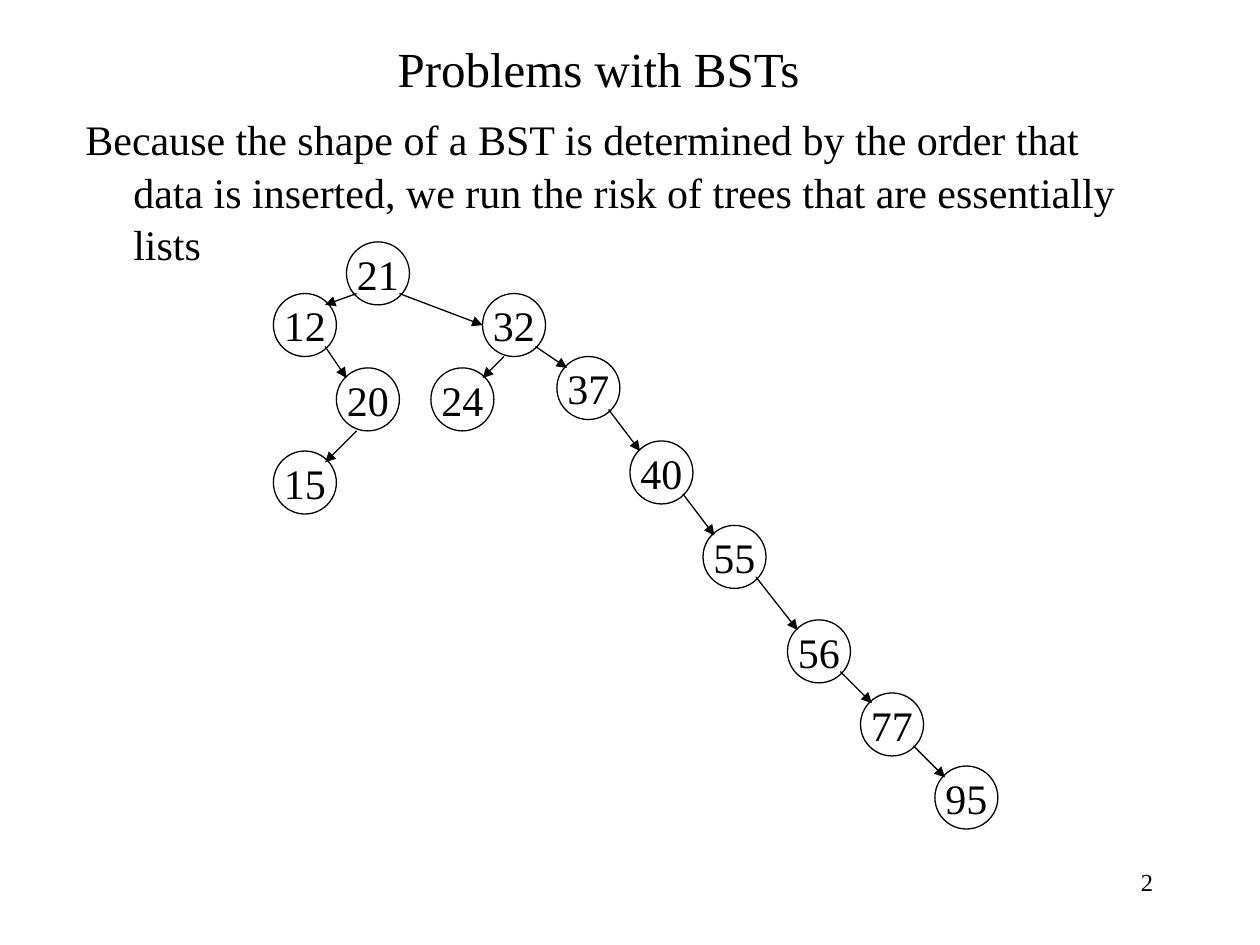
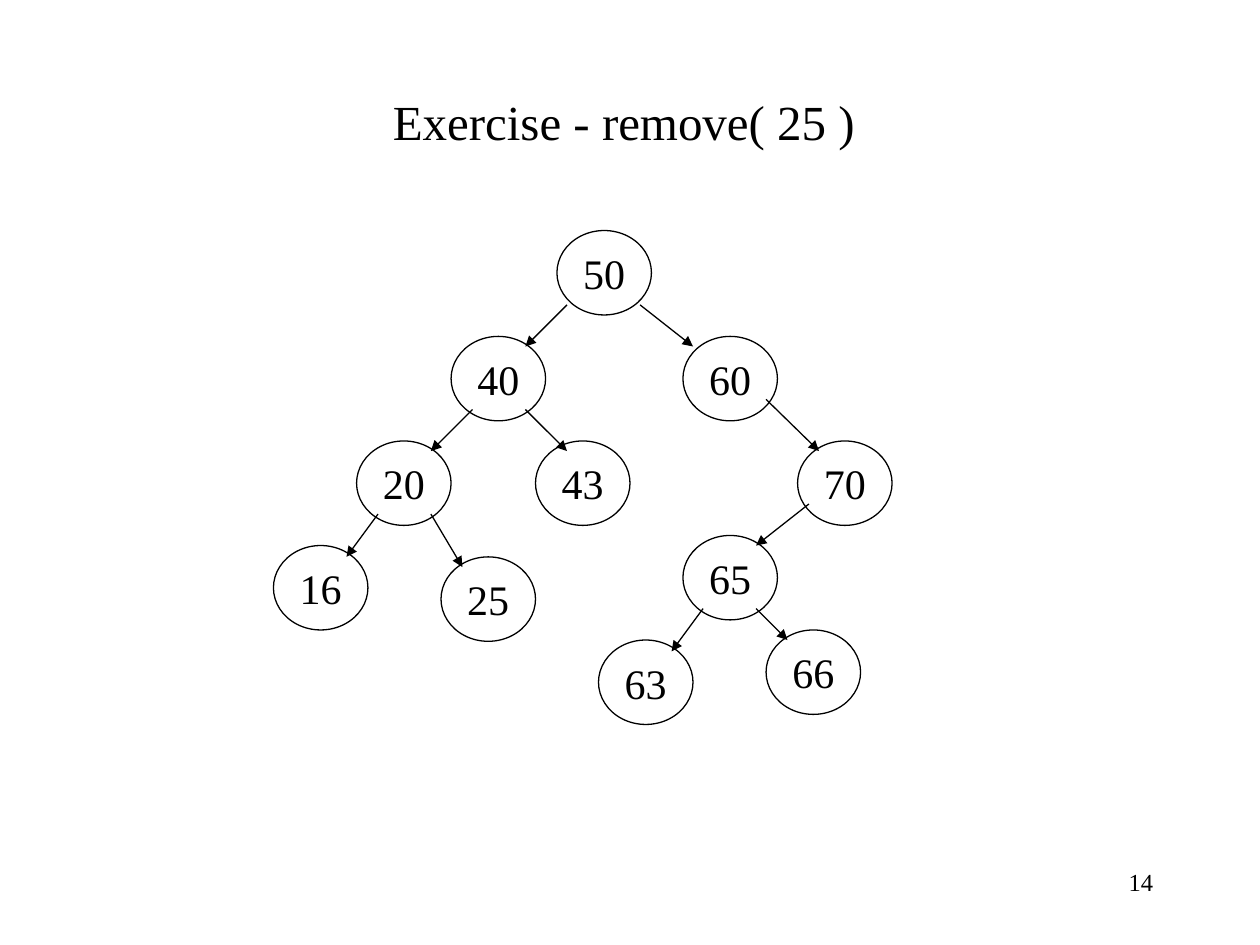
"""Build two slides on binary search trees: a degenerate tree and a removal exercise."""
from dataclasses import dataclass

from lxml.etree import SubElement
from pptx import Presentation
from pptx.dml.color import RGBColor
from pptx.enum.shapes import MSO_CONNECTOR as Connector, MSO_SHAPE as Shape
from pptx.enum.text import MSO_ANCHOR as Anchor, PP_ALIGN as Align
from pptx.oxml.ns import qn
from pptx.util import Inches, Pt


@dataclass(frozen=True)
class Theme:
    font: str = "Times New Roman"
    ink: RGBColor = RGBColor(0, 0, 0)
    title_size: int = 28
    text_size: int = 24
    number_size: int = 14
    line_width: float = 0.75


THEME = Theme()
TITLE_SIZE = (8.5, 0.58)
NUMBER_BOX = (7.17, 6.83, 2.08, 0.5)
BODY_BOX = (0.58, 0.83, 8.5, 1.33)
BODY_INDENT = 0.38

SLIDES = [
    {
        "title": "Problems with BSTs",
        "title_at": (0.5, 0.25),
        "number": "2",
        "body": "Because the shape of a BST is determined by the order that data is "
                "inserted, we run the risk of trees that are essentially lists",
        "node_size": (0.5, 0.5),
        "nodes": {
            21: (2.75, 1.92), 12: (2.17, 2.33), 20: (2.67, 2.92), 15: (2.17, 3.58),
            32: (3.83, 2.33), 24: (3.42, 2.92), 37: (4.42, 2.83), 40: (5, 3.5),
            55: (5.58, 4.17), 56: (6.25, 4.92), 77: (6.83, 5.5), 95: (7.42, 6.08),
        },
        "arrows": [
            ((2.83, 2.33), (2.58, 2.42)), ((2.58, 2.75), (2.75, 3)),
            ((2.83, 3.42), (2.58, 3.67)), ((3.17, 2.33), (3.83, 2.58)),
            ((4, 2.83), (3.83, 3)), ((4.25, 2.75), (4.5, 2.92)),
            ((4.83, 3.25), (5.08, 3.58)), ((5.42, 3.92), (5.67, 4.25)),
            ((6, 4.58), (6.33, 5)), ((6.67, 5.33), (6.92, 5.58)),
            ((7.25, 5.92), (7.5, 6.17)),
        ],
    },
    {
        "title": "Exercise - remove( 25 ) ",
        "title_at": (0.75, 0.67),
        "number": "14",
        "body": None,
        "node_size": (0.75, 0.67),
        "nodes": {
            50: (4.42, 1.83), 60: (5.42, 2.67), 70: (6.33, 3.5), 65: (5.42, 4.25),
            63: (4.75, 5.08), 66: (6.08, 5), 40: (3.58, 2.67), 43: (4.25, 3.5),
            20: (2.83, 3.5), 16: (2.17, 4.33), 25: (3.5, 4.42),
        },
        "arrows": [
            ((4.5, 2.42), (4.17, 2.75)), ((5.08, 2.42), (5.5, 2.75)),
            ((3.75, 3.25), (3.42, 3.58)), ((3, 4.08), (2.75, 4.42)),
            ((4.17, 3.25), (4.5, 3.58)), ((6.08, 3.17), (6.5, 3.58)),
            ((6.42, 4), (6, 4.33)), ((5.58, 4.83), (5.33, 5.17)),
            ((6, 4.83), (6.25, 5.08)), ((3.42, 4.08), (3.67, 4.5)),
        ],
    },
]


def inches(values):
    return [Inches(value) for value in values]


def write(shape, text, size, align, anchor=Anchor.TOP, wrap=True):
    frame = shape.text_frame
    frame.word_wrap = wrap
    frame.vertical_anchor = anchor
    paragraph = frame.paragraphs[0]
    paragraph.text = text
    paragraph.alignment = align
    paragraph.font.name = THEME.font
    paragraph.font.size = Pt(size)
    paragraph.font.color.rgb = THEME.ink
    return paragraph


def add_text(slide, box, *style, **options):
    return write(slide.shapes.add_textbox(*inches(box)), *style, **options)


def add_body(slide, text):
    paragraph = add_text(slide, BODY_BOX, text, THEME.text_size, Align.LEFT)
    paragraph.line_spacing = 1.05
    properties = paragraph._p.get_or_add_pPr()
    properties.set("marL", str(Inches(BODY_INDENT)))
    properties.set("indent", str(-Inches(BODY_INDENT)))


def draw_line(line):
    line.color.rgb = THEME.ink
    line.width = Pt(THEME.line_width)


def add_node(slide, key, position, size):
    node = slide.shapes.add_shape(Shape.OVAL, *inches(position + size))
    node.shadow.inherit = False
    node.fill.background()
    draw_line(node.line)
    write(node, str(key), THEME.text_size, Align.CENTER, Anchor.MIDDLE, wrap=False)


def add_arrow(slide, start, end):
    arrow = slide.shapes.add_connector(Connector.STRAIGHT, *inches(start + end))
    draw_line(arrow.line)
    SubElement(arrow.line._get_or_add_ln(), qn("a:tailEnd"), type="triangle")
    SubElement(arrow._element.spPr, qn("a:effectLst"))


def add_tree_slide(presentation, content):
    slide = presentation.slides.add_slide(presentation.slide_layouts[6])
    add_text(slide, NUMBER_BOX, content["number"], THEME.number_size, Align.RIGHT)
    add_text(slide, content["title_at"] + TITLE_SIZE, content["title"],
             THEME.title_size, Align.CENTER, anchor=Anchor.MIDDLE)
    if content["body"]:
        add_body(slide, content["body"])
    for key, position in content["nodes"].items():
        add_node(slide, key, position, content["node_size"])
    for start, end in content["arrows"]:
        add_arrow(slide, start, end)


def main():
    presentation = Presentation()
    presentation.slide_width, presentation.slide_height = inches((10, 7.5))
    for content in SLIDES:
        add_tree_slide(presentation, content)
    presentation.save("out.pptx")


if __name__ == "__main__":
    main()
